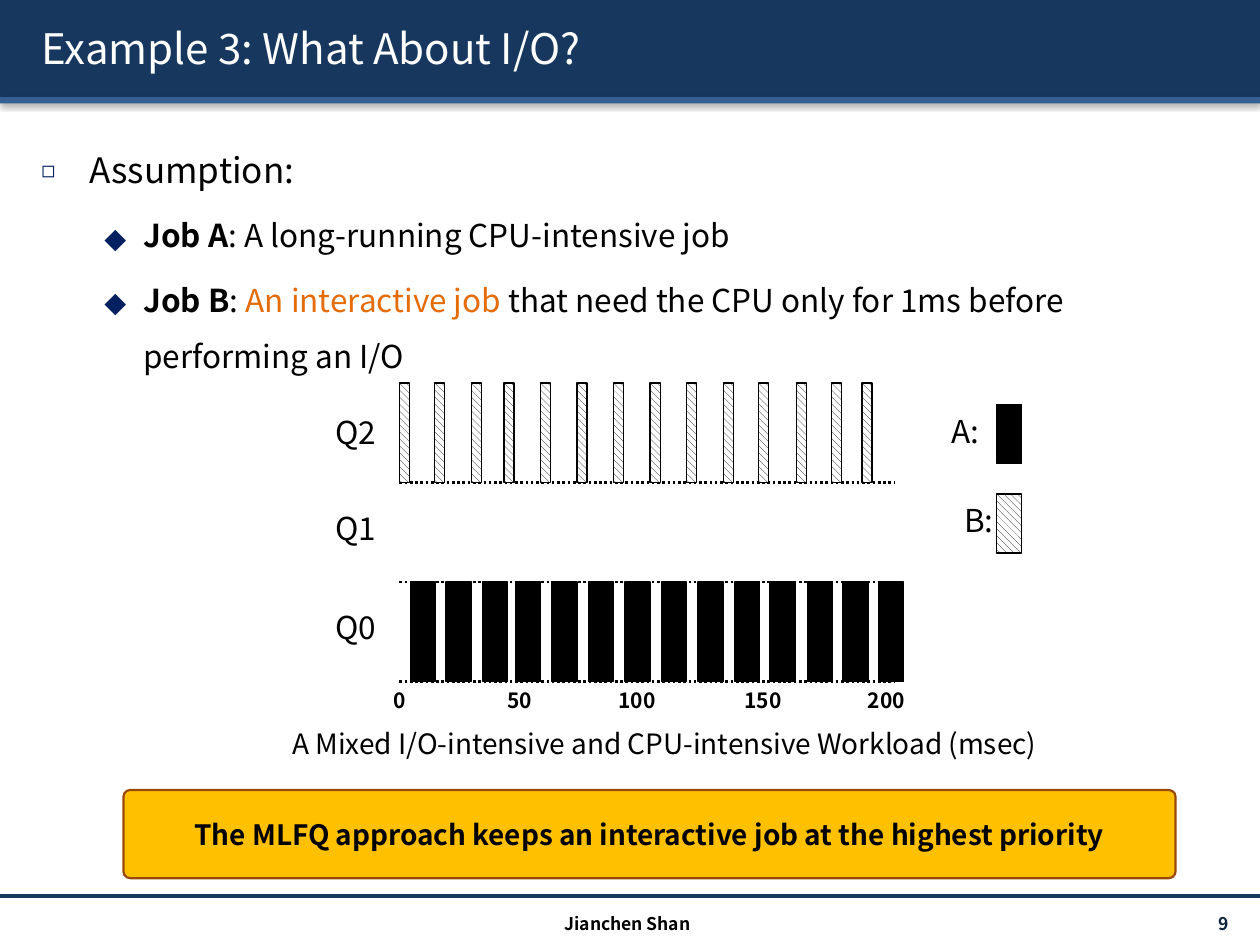
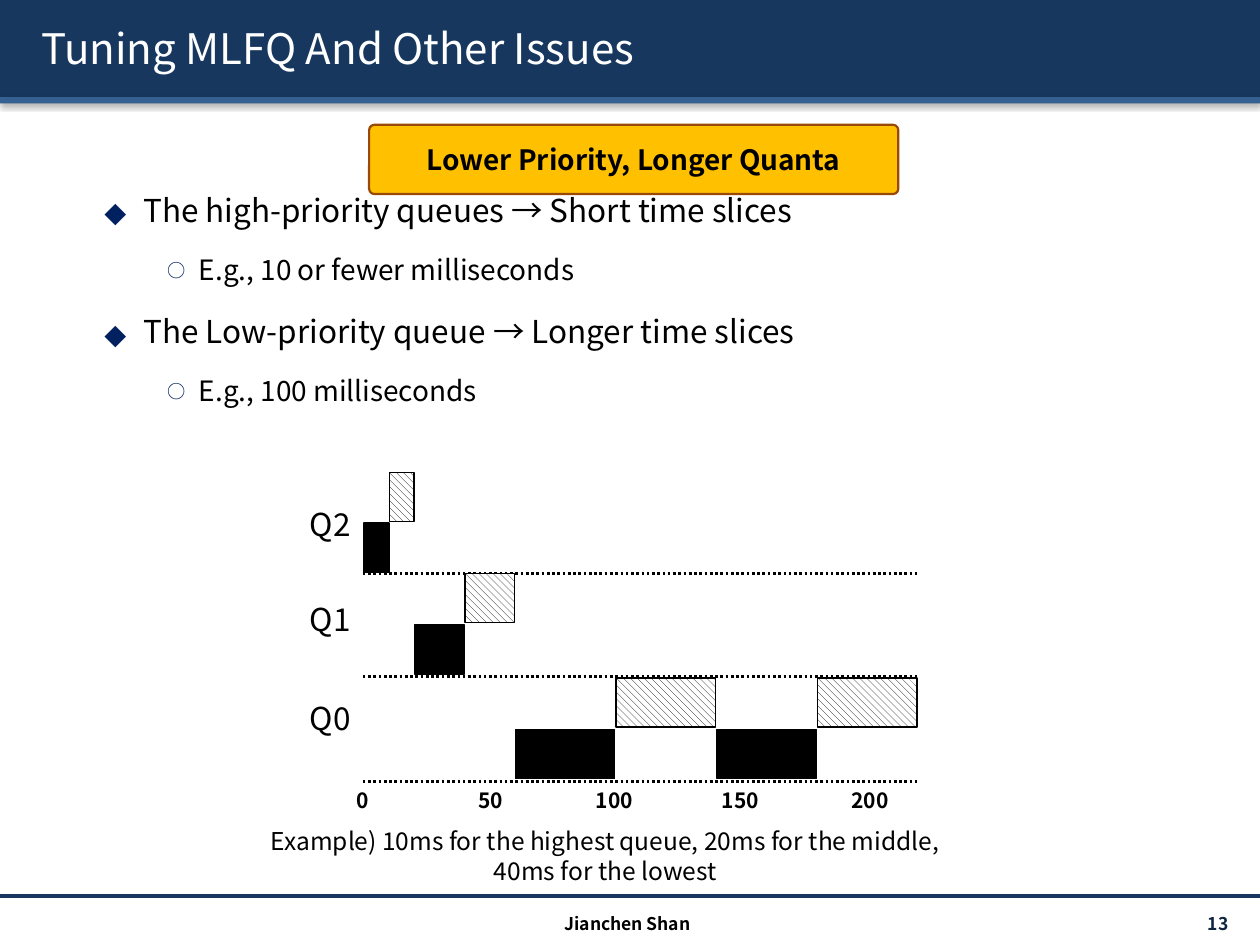
"""Build two lecture slides about multi-level feedback queue scheduling."""
from dataclasses import dataclass

from lxml import etree
from pptx import Presentation
from pptx.dml.color import RGBColor
from pptx.enum.dml import MSO_LINE, MSO_PATTERN
from pptx.enum.shapes import MSO_CONNECTOR, MSO_SHAPE
from pptx.enum.text import MSO_ANCHOR, PP_ALIGN
from pptx.oxml.ns import qn
from pptx.util import Inches, Pt

LEFT, CENTER, RIGHT = PP_ALIGN.LEFT, PP_ALIGN.CENTER, PP_ALIGN.RIGHT
TOP, MIDDLE = MSO_ANCHOR.TOP, MSO_ANCHOR.MIDDLE
RECTANGLE, ROUNDED = MSO_SHAPE.RECTANGLE, MSO_SHAPE.ROUNDED_RECTANGLE
STRAIGHT, DOTTED = MSO_CONNECTOR.STRAIGHT, MSO_LINE.ROUND_DOT
HATCH = MSO_PATTERN.WIDE_DOWNWARD_DIAGONAL

# The slide is a grid of 100 columns by 75 rows; every cell is square.
WIDTH, HEIGHT = Inches(10), Inches(7.5)
COLUMN, ROW = WIDTH / 100, HEIGHT / 75

FONT = "Noto Sans CJK KR"
BLACK, WHITE = "000000", "FFFFFF"
NAVY, BLUE, INK = "17375E", "376092", "0F243E"
BULLET, ORANGE = "002060", "E46C0A"
GOLD, BROWN = "FFC000", "984807"


@dataclass(frozen=True)
class Area:
    """A rectangle in grid columns and rows."""
    left: float
    top: float
    width: float
    height: float

    def lengths(self) -> list[int]:
        """Return left, top, width and height as slide lengths."""
        return [round(self.left * COLUMN), round(self.top * ROW),
                round(self.width * COLUMN), round(self.height * ROW)]


@dataclass(frozen=True)
class Span:
    """A stretch of text in one format."""
    text: str
    bold: bool = False
    color: str = BLACK


@dataclass(frozen=True)
class Level:
    """Size, bullet and indents (in columns) of one outline level."""
    size: int
    bullet: str
    scale: int
    margin: float
    hang: float


@dataclass(frozen=True)
class Item:
    """One paragraph of the outline."""
    level: int
    spans: tuple[Span, ...]


@dataclass(frozen=True)
class Quantum:
    """One time slice: its job, start and length in ms, and top row."""
    job: str
    start: int
    length: int
    top: float


LEVELS = (Level(20, "\u25fb", 65, 3.8, 3.8),
          Level(18, "\u2b25", 100, 8.1, 3.1),
          Level(16, "\u25cb", 65, 12.5, 2.5))


def color_of(value: str) -> RGBColor:
    """Turn a hex string into a colour."""
    return RGBColor.from_string(value)


def add_child(parent, tag: str, **attributes):
    """Append a drawing element with the given attributes."""
    return etree.SubElement(parent, qn(tag), {key: str(value) for key, value in attributes.items()})


def add_shadow(effects, blur: int, distance: int, angle: int, alpha: int) -> None:
    """Put a black outer shadow into an effect list."""
    shadow = add_child(effects, "a:outerShdw", blurRad=blur, dist=distance,
                       dir=angle * 60000, algn="tl", rotWithShape=0)
    tint = add_child(shadow, "a:srgbClr", val=BLACK)
    add_child(tint, "a:alpha", val=alpha * 1000)


def add_span(para, span: Span, size: float):
    """Add one formatted stretch of text to a paragraph."""
    run = para.add_run()
    run.text = span.text
    for name, value in {"name": FONT, "size": Pt(size), "bold": span.bold}.items():
        setattr(run.font, name, value)
    run.font.color.rgb = color_of(span.color)
    return run


def set_frame(frame, anchor=TOP, **margins: float) -> None:
    """Wrap and anchor a text frame and set its margins in columns."""
    frame.word_wrap = True
    frame.vertical_anchor = anchor
    for side, columns in margins.items():
        setattr(frame, f"margin_{side}", round(columns * COLUMN))


def add_text(page, area: Area, lines: list[str], size: float, align=CENTER, anchor=TOP,
             bold: bool = False, color: str = BLACK, **margins: float):
    """Add a text box with one paragraph for each line."""
    frame = page.shapes.add_textbox(*area.lengths()).text_frame
    set_frame(frame, anchor, **margins)
    for index, line in enumerate(lines):
        para = frame.add_paragraph() if index else frame.paragraphs[0]
        para.alignment = align
        add_span(para, Span(line, bold, color), size)
    return frame


def add_box(page, area: Area, fill: str, line: str = "", weight: float = 0.75, kind=RECTANGLE):
    """Add a filled shape without a shadow; an empty line colour means no outline."""
    box = page.shapes.add_shape(kind, *area.lengths())
    box.shadow.inherit = False
    box.fill.solid()
    box.fill.fore_color.rgb = color_of(fill)
    if line:
        box.line.color.rgb = color_of(line)
        box.line.width = Pt(weight)
    else:
        box.line.fill.background()
    return box


def add_line(page, left: float, right: float, row: float, color: str, weight: float,
             dash=None) -> None:
    """Add a horizontal line between two columns."""
    start, height, end = round(left * COLUMN), round(row * ROW), round(right * COLUMN)
    line = page.shapes.add_connector(STRAIGHT, start, height, end, height)
    line.line.color.rgb = color_of(color)
    line.line.width = Pt(weight)
    if dash is not None:
        line.line.dash_style = dash
    add_child(line._element.spPr, "a:effectLst")


def add_job(page, area: Area, job: str) -> None:
    """Add a bar for a job: A is solid black, B is hatched."""
    bar = add_box(page, area, BLACK, BLACK)
    if job == "B":
        bar.fill.patterned()
        bar.fill.pattern = HATCH
        bar.fill.fore_color.rgb = color_of(BLACK)
        bar.fill.back_color.rgb = color_of(WHITE)


def add_callout(page, area: Area, text: str) -> None:
    """Add a gold rounded box with a bold statement."""
    box = add_box(page, area, GOLD, BROWN, 1.25, ROUNDED)
    box.adjustments[0] = 0.077
    set_frame(box.text_frame, MIDDLE, left=1.2, right=1.2, top=0.5, bottom=0.5)
    para = box.text_frame.paragraphs[0]
    para.alignment = CENTER
    add_span(para, Span(text, bold=True), 16)


def add_outline(page, top: float, items: list[Item]) -> None:
    """Add the bulleted outline, starting at the given row."""
    area = Area(2.3, top, 96.1, 69.8 - top)
    frame = page.shapes.add_textbox(*area.lengths()).text_frame
    set_frame(frame)
    for index, item in enumerate(items):
        level = LEVELS[item.level]
        para = frame.add_paragraph() if index else frame.paragraphs[0]
        formats = {"level": item.level, "alignment": LEFT, "line_spacing": 1.5,
                   "space_before": Pt(0.235 * level.size)}
        for name, value in formats.items():
            setattr(para, name, value)
        properties = para._p.get_or_add_pPr()
        properties.set("marL", str(round(level.margin * COLUMN)))
        properties.set("indent", str(round(-level.hang * COLUMN)))
        add_child(add_child(properties, "a:buClr"), "a:srgbClr", val=BULLET)
        add_child(properties, "a:buSzPct", val=level.scale * 1000)
        add_child(properties, "a:buFont", typeface=FONT)
        add_child(properties, "a:buChar", char=level.bullet)
        for span in item.spans:
            add_span(para, span, level.size)


def add_page(deck, title: str, number: int):
    """Add a page with the bands, title and footer that all pages share."""
    page = deck.slides.add_slide(deck.slide_layouts[6])
    for area, fill in ((Area(0, 0, 100, 7.7), NAVY), (Area(0, 7.7, 100, 0.5), BLUE)):
        band = add_box(page, area, fill)
        add_shadow(band._element.spPr.find(qn("a:effectLst")), 40000, 20000, 90, 38)
    add_line(page, 0, 100, 71.1, NAVY, 2)
    frame = add_text(page, Area(2.3, 0.6, 96.1, 6.4), [title], 24, LEFT, MIDDLE, color=WHITE)
    effects = etree.Element(qn("a:effectLst"))
    add_shadow(effects, 38100, 38100, 45, 100)
    font_properties = frame.paragraphs[0].runs[0]._r.get_or_add_rPr()
    font_properties.find(qn("a:solidFill")).addnext(effects)
    add_text(page, Area(87.1, 72.1, 11.7, 2.4), [str(number)], 10, RIGHT, MIDDLE, True, INK,
             right=1.3)
    add_text(page, Area(33.2, 72, 33.2, 2.4), ["Jianchen Shan"], 10, bold=True)
    return page


def add_axes(page, left: float, label_rows: tuple, align, line_rows: tuple, right: float,
             ticks: tuple) -> None:
    """Add dotted queue lines, queue names and the time marks under the last line."""
    for row in line_rows:
        add_line(page, left, right, row, BLACK, 1.5, DOTTED)
    for name, row in zip(("Q2", "Q1", "Q0"), label_rows):
        add_text(page, Area(left - 6.9, row, 6.9, 4), [name], 18, align)
    for index, center in enumerate(ticks):
        mark = str(50 * index)
        width = 1 + 1.7 * len(mark)
        add_text(page, Area(center - width / 2, line_rows[-1], width, 3), [mark], 12, bold=True)


def build_mixed_workload(deck) -> None:
    """Build the page on a CPU-bound job next to an interactive one."""
    page = add_page(deck, "Example 3: What About I/O?", 9)
    add_outline(page, 9.6, [
        Item(0, (Span("Assumption:"),)),
        Item(1, (Span("Job A", bold=True), Span(": A long-running CPU-intensive job"))),
        Item(1, (Span("Job B", bold=True), Span(": "),
                 Span("An interactive job ", color=ORANGE),
                 Span("that need the CPU only for 1ms before performing an I/O")))])
    add_text(page, Area(16.9, 57.2, 71.7, 3.7),
             ["A Mixed I/O-intensive and CPU-intensive Workload (msec)"], 16)
    add_axes(page, 31.7, (32.3, 39.9, 47.8), CENTER, (38.3, 46.2, 54.1), 71,
             (31.6, 41.25, 50.55, 60.55, 70.35))
    long_starts = (32.6, 35.4, 38.3, 40.9, 43.8, 46.7, 49.6, 52.5, 55.4, 58.3, 61.1, 64.1,
                   66.9, 69.7)
    short_starts = [start - 0.9 for start in long_starts[:-1]] + [68.4]
    for long_start, short_start in zip(long_starts, short_starts):
        add_job(page, Area(short_start, 30.4, 0.8, 7.9), "B")
        add_job(page, Area(long_start, 46.2, 2, 7.9), "A")
    for job, left, top in (("A", 74.1, 32.1), ("B", 75.2, 39.2)):
        add_job(page, Area(79.1, top, 2, 4.7), job)
        add_text(page, Area(left, top + 0.1, 5, 4), [f"{job}:"], 18)
    add_callout(page, Area(9.8, 62.7, 83.5, 7),
                "The MLFQ approach keeps an interactive job at the highest priority")


def build_tuning(deck) -> None:
    """Build the page on longer time slices for lower queues."""
    page = add_page(deck, "Tuning MLFQ And Other Issues", 13)
    add_outline(page, 13.2, [
        Item(level, (Span(text),)) for level, text in (
            (1, "The high-priority queues \u2192 Short time slices"),
            (2, "E.g., 10 or fewer milliseconds"),
            (1, "The Low-priority queue \u2192 Longer time slices"),
            (2, "E.g., 100 milliseconds"))])
    add_axes(page, 28.8, (39.6, 47.1, 55), RIGHT, (45.5, 53.7, 62), 72.8,
             (28.7, 38.95, 48.75, 58.75, 69.05))
    quanta = (Quantum("A", 0, 10, 41.5), Quantum("B", 10, 10, 37.5),
              Quantum("A", 20, 20, 49.6), Quantum("B", 40, 20, 45.5),
              Quantum("A", 60, 40, 57.9), Quantum("B", 100, 40, 53.8),
              Quantum("A", 140, 40, 57.9), Quantum("B", 180, 40, 53.8))
    for slot in quanta:
        add_job(page, Area(28.9 + 0.2 * slot.start, slot.top, 0.197 * slot.length, 3.9), slot.job)
    add_text(page, Area(12.2, 65.1, 71.7, 5.7),
             ["Example) 10ms for the highest queue, 20ms for the middle,",
              "40ms for the lowest"], 14)
    add_callout(page, Area(29.3, 9.9, 42, 5.5), "Lower Priority, Longer Quanta")


def main() -> None:
    """Build and save the deck."""
    deck = Presentation()
    deck.slide_width, deck.slide_height = WIDTH, HEIGHT
    build_mixed_workload(deck)
    build_tuning(deck)
    deck.save("out.pptx")


main()
